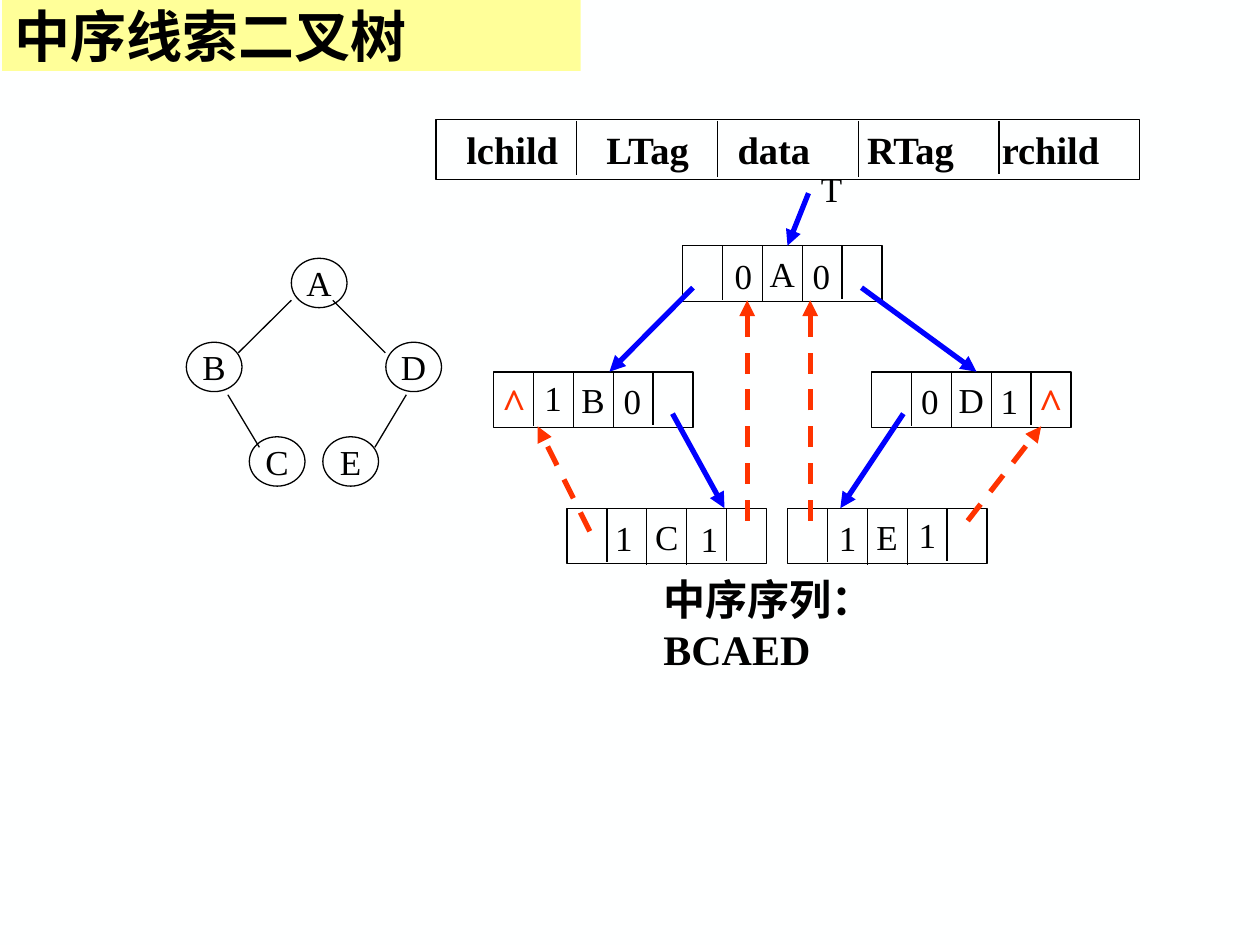
from dataclasses import dataclass

import pptx
import pptx.dml.color
import pptx.enum.dml
import pptx.enum.shapes
import pptx.enum.text
import pptx.oxml.ns
import pptx.util
from lxml import etree

Pt = pptx.util.Pt
SHAPES = pptx.enum.shapes.MSO_SHAPE
ALIGN = pptx.enum.text.PP_ALIGN
ANCHOR = pptx.enum.text.MSO_ANCHOR
qn = pptx.oxml.ns.qn


@dataclass(frozen=True)
class Theme:
    background: str = "FEFFFF"
    ink: str = "000000"
    child: str = "0000FF"
    thread: str = "FF3300"
    banner: str = "FFFF99"
    latin: str = "Times New Roman"
    chinese: str = "Noto Sans CJK SC"
    label: float = 20
    field: float = 22
    emphasis: float = 24
    title: float = 32
    thin: float = 0.75
    thick: float = 3


THEME = Theme()
NODE_WIDTH, NODE_HEIGHT = 114, 31.8
DIVIDER_LENGTHS = (31, 32.2, 32.2, 30.4)


def color(value):
    return pptx.dml.color.RGBColor.from_string(value)


class SlideBuilder:
    def __init__(self, slide, theme):
        self.slide = slide
        self.theme = theme
        slide.background.fill.solid()
        slide.background.fill.fore_color.rgb = color(theme.background)

    def set_text(self, shape, text, size=None, ink=None, bold=False, latin=None,
                 align=ALIGN.CENTER, anchor=ANCHOR.MIDDLE, wrap=False, tabs=()):
        frame = shape.text_frame
        frame.word_wrap = wrap
        frame.vertical_anchor = anchor
        paragraph = frame.paragraphs[0]
        paragraph.text = text
        paragraph.alignment = align
        if tabs:
            tab_list = etree.SubElement(paragraph._p.get_or_add_pPr(), qn("a:tabLst"))
            for position in tabs:
                etree.SubElement(tab_list, qn("a:tab"), pos=str(Pt(position)), algn="l")
        font = paragraph.font
        font.size = Pt(size or self.theme.label)
        font.bold = bold
        font.color.rgb = color(ink or self.theme.ink)
        font.name = latin or self.theme.latin
        properties = paragraph._p.pPr.find(qn("a:defRPr"))
        etree.SubElement(properties, qn("a:ea"), typeface=self.theme.chinese)

    def shape(self, kind, left, top, width, height, fill=None):
        """Add an outlined shape, or a filled one without outline."""
        shape = self.slide.shapes.add_shape(kind, Pt(left), Pt(top), Pt(width), Pt(height))
        shape.shadow.inherit = False
        if fill:
            shape.fill.solid()
            shape.fill.fore_color.rgb = color(fill)
            shape.line.fill.background()
        else:
            shape.fill.background()
            shape.line.color.rgb = color(self.theme.ink)
            shape.line.width = Pt(self.theme.thin)
        return shape

    def text(self, text, left, top, width, height, **style):
        box = self.slide.shapes.add_textbox(Pt(left), Pt(top), Pt(width), Pt(height))
        self.set_text(box, text, **style)

    def line(self, start, end, ink=None, width=None):
        connector = self.slide.shapes.add_connector(
            pptx.enum.shapes.MSO_CONNECTOR.STRAIGHT, *map(Pt, (*start, *end)))
        connector.line.color.rgb = color(ink or self.theme.ink)
        connector.line.width = Pt(width or self.theme.thin)
        etree.SubElement(connector._element.spPr, qn("a:effectLst"))
        return connector

    def arrow(self, start, end, ink, dashed=False):
        connector = self.line(start, end, ink, self.theme.thick)
        if dashed:
            connector.line.dash_style = pptx.enum.dml.MSO_LINE.DASH
        outline = connector._element.spPr.find(qn("a:ln"))
        etree.SubElement(outline, qn("a:tailEnd"), type="triangle")

    def circle(self, letter, left, top):
        self.set_text(self.shape(SHAPES.OVAL, left, top, 31.8, 28.2), letter)

    def dividers(self, left, top, cell_width):
        for index, length in enumerate(DIVIDER_LENGTHS, start=1):
            x = left + index * cell_width
            self.line((x, top), (x, top + length))

    def node(self, letter, left, top):
        """Draw a five-cell record with its letter in the middle cell."""
        self.set_text(self.shape(SHAPES.RECTANGLE, left, top, NODE_WIDTH, NODE_HEIGHT), letter)
        self.dividers(left, top, NODE_WIDTH / 5)

    def record_header(self, fields, left, top, width, height):
        header = self.shape(SHAPES.RECTANGLE, left, top, width, height)
        header.text_frame.margin_left = Pt(17.3)
        self.set_text(header, "\t".join(fields), size=self.theme.field, bold=True,
                      align=ALIGN.LEFT, wrap=True, tabs=(80, 155, 229, 306))
        self.dividers(left, top + 0.8, width / 5)

    def title(self, text):
        banner = self.shape(SHAPES.RECTANGLE, 1.2, 0, 330.6, 40.5, self.theme.banner)
        self.set_text(banner, text, size=self.theme.title, bold=True,
                      latin=self.theme.chinese, align=ALIGN.LEFT, wrap=True)


CIRCLES = (("A", 166.5, 147.6), ("B", 106.5, 195.6), ("C", 142.5, 249.6),
           ("D", 220.5, 195.6), ("E", 184.5, 249.6))
BRANCHES = (((166.5, 171.6), (136.2, 201.6)), ((190.2, 171.6), (220.2, 201.6)),
            ((130.2, 225.6), (148.2, 255.6)), ((232.2, 225.6), (214.2, 255.6)))
NODES = (("A", 390, 140.5), ("B", 282, 212.6), ("D", 498, 212.6),
         ("C", 324, 290.4), ("E", 450, 290.4))
TAGS = (("0", 412.6, 141.8), ("0", 457.2, 141.8), ("1", 303.8, 211.7),
        ("0", 349.2, 213.1), ("0", 519.1, 213.1), ("1", 564.5, 213.1),
        ("1", 344.2, 291.8), ("1", 393.1, 292.1), ("1", 472.1, 291.8),
        ("1", 517.7, 290.2))
CHILD_LINKS = (((396, 164.4), (348.3, 212.4)), ((492.3, 164.4), (558, 212.4)),
               ((384.3, 236.4), (414, 290.4)), ((516.2, 236.4), (480.2, 290.4)),
               ((462, 110.4), (450, 140.4)))
THREADS = (((337, 303.6), (307.2, 243.6)), ((427, 297.6), (427, 171.6)),
           ((463, 297.6), (463, 171.6)), ((553, 297.6), (595, 243.6)))


def main():
    presentation = pptx.Presentation()
    presentation.slide_width, presentation.slide_height = Pt(720), Pt(540)
    slide = presentation.slides.add_slide(presentation.slide_layouts[6])
    builder = SlideBuilder(slide, THEME)

    for circle in CIRCLES:
        builder.circle(*circle)
    for start, end in BRANCHES:
        builder.line(start, end)

    for node in NODES:
        builder.node(*node)
    for start, end in CHILD_LINKS:
        builder.arrow(start, end, THEME.child)
    builder.text("T", 462, 92.4, 26.6, 31, align=ALIGN.LEFT, anchor=ANCHOR.TOP)
    builder.text("中序序列：\vBCAED", 372, 324, 219.6, 64.8, size=THEME.emphasis,
                 bold=True, align=ALIGN.LEFT, anchor=ANCHOR.TOP)

    for digit, left, top in TAGS:
        builder.text(digit, left, top, 24.5, 31)
    for start, end in THREADS:
        builder.arrow(start, end, THEME.thread, dashed=True)
    for left in (279.4, 586.1):
        builder.text("^", left, 211.3, 28.8, 36, size=THEME.emphasis,
                     ink=THEME.thread, bold=True)

    builder.record_header(("lchild", "LTag", "data", "RTag", "rchild"),
                          249.2, 68.3, 402, 34.3)
    builder.title("中序线索二叉树")
    presentation.save("out.pptx")


if __name__ == "__main__":
    main()
